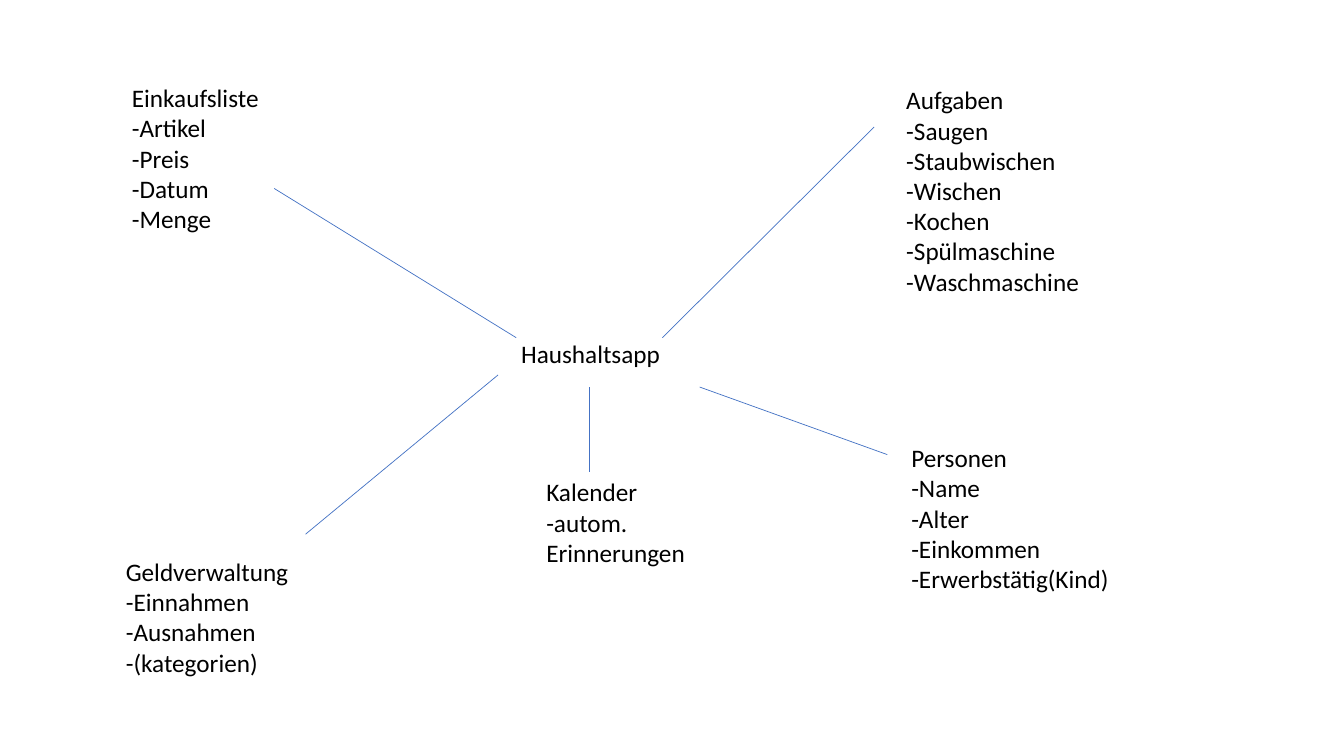
from pptx import Presentation
from pptx.dml.color import RGBColor
from pptx.enum.shapes import MSO_CONNECTOR
from pptx.enum.text import MSO_ANCHOR, MSO_AUTO_SIZE, PP_ALIGN
from pptx.oxml.ns import qn
from pptx.util import Inches, Pt
from lxml import etree

STRAIGHT = MSO_CONNECTOR.STRAIGHT
TOP = MSO_ANCHOR.TOP
LEFT = PP_ALIGN.LEFT
FIT_SHAPE = MSO_AUTO_SIZE.SHAPE_TO_FIT_TEXT

COLORS = {"text": "000000", "branch": "4472C4"}
FONT = "Calibri"
LINE_HEIGHT = 0.3
PADDING = 0.1

# Topics: left, top, width, lines of text
TOPICS = [
    (5.07, 3.31, 1.68, ["Haushaltsapp"]),
    (1.21, 0.77, 1.68, ["Einkaufsliste", "-Artikel", "-Preis", "-Datum", "-Menge"]),
    (1.15, 5.47, 2.24, ["Geldverwaltung", "-Einnahmen", "-Ausnahmen", "-(kategorien)"]),
    (8.89, 0.79, 2.24, ["Aufgaben", "-Saugen", "-Staubwischen", "-Wischen", "-Kochen",
                        "-Spülmaschine", "-Waschmaschine"]),
    (8.94, 4.34, 2.24, ["Personen", "-Name", "-Alter", "-Einkommen",
                        "-Erwerbstätig(Kind)"]),
    (5.32, 4.68, 2.24, ["Kalender", "-autom. Erinnerungen"]),
]

# Branches: start point, end point
BRANCHES = [
    ((5.12, 3.35), (2.72, 1.87)),
    ((8.67, 1.26), (6.57, 3.35)),
    ((4.94, 3.72), (3.03, 5.3)),
    ((8.8, 4.51), (6.94, 3.84)),
    ((5.85, 3.84), (5.85, 4.68)),
]


def add_text(page, lines, *, left, top, width, size=18, color="text"):
    height = len(lines) * LINE_HEIGHT + PADDING
    box = page.shapes.add_textbox(Inches(left), Inches(top), Inches(width), Inches(height))
    frame = box.text_frame
    frame.word_wrap = True
    frame.auto_size = FIT_SHAPE
    frame.vertical_anchor = TOP
    frame.text = "\n".join(lines)
    for para in frame.paragraphs:
        para.alignment = LEFT
        for span in para.runs:
            span.font.name = FONT
            span.font.size = Pt(size)
            span.font.color.rgb = RGBColor.from_string(COLORS[color])


def add_branch(page, start, end):
    points = [Inches(value) for value in (*start, *end)]
    branch = page.shapes.add_connector(STRAIGHT, *points)
    branch.line.color.rgb = RGBColor.from_string(COLORS["branch"])
    branch.line.width = Pt(0.5)
    etree.SubElement(branch._element.spPr, qn("a:effectLst"))


def main():
    deck = Presentation()
    deck.slide_width = Inches(13.33)
    deck.slide_height = Inches(7.5)
    # Blank layout: the map has no title
    page = deck.slides.add_slide(deck.slide_layouts[6])

    for left, top, width, lines in TOPICS:
        add_text(page, lines, left=left, top=top, width=width)
    for start, end in BRANCHES:
        add_branch(page, start, end)

    deck.save("out.pptx")


if __name__ == "__main__":
    main()
